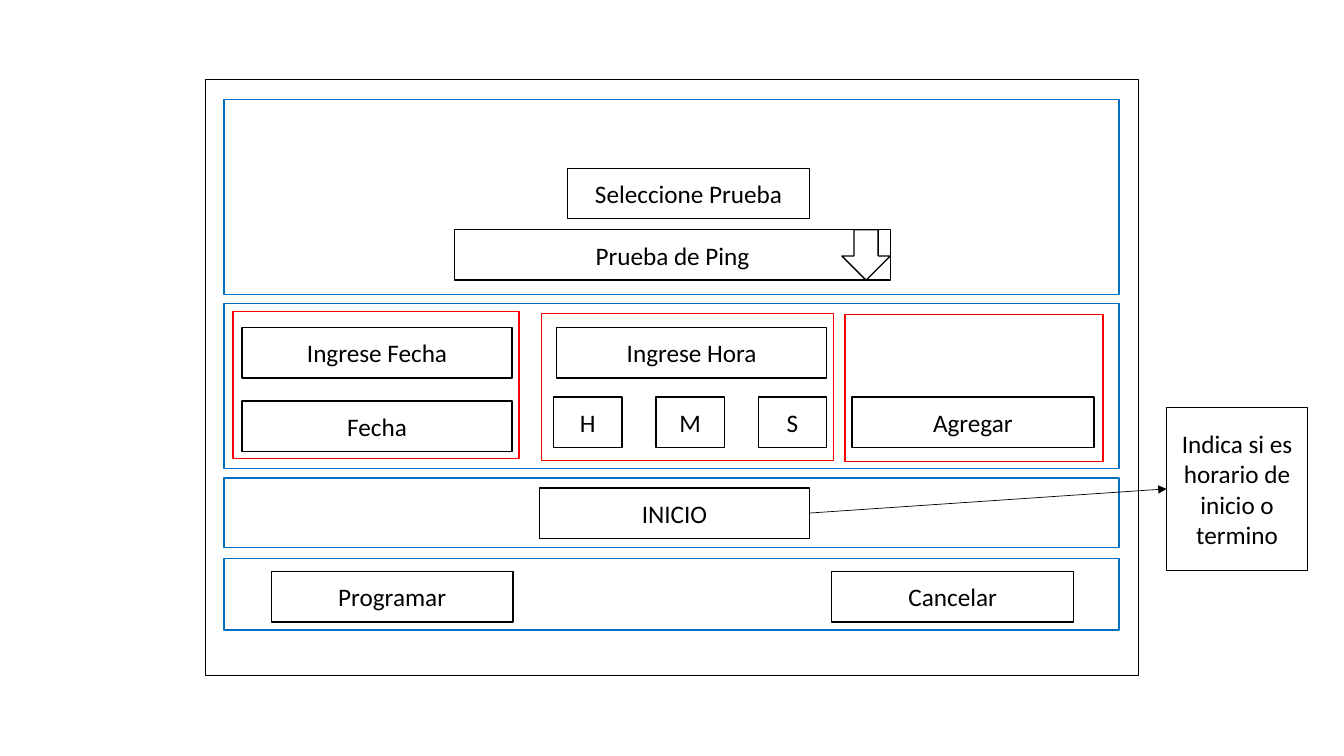
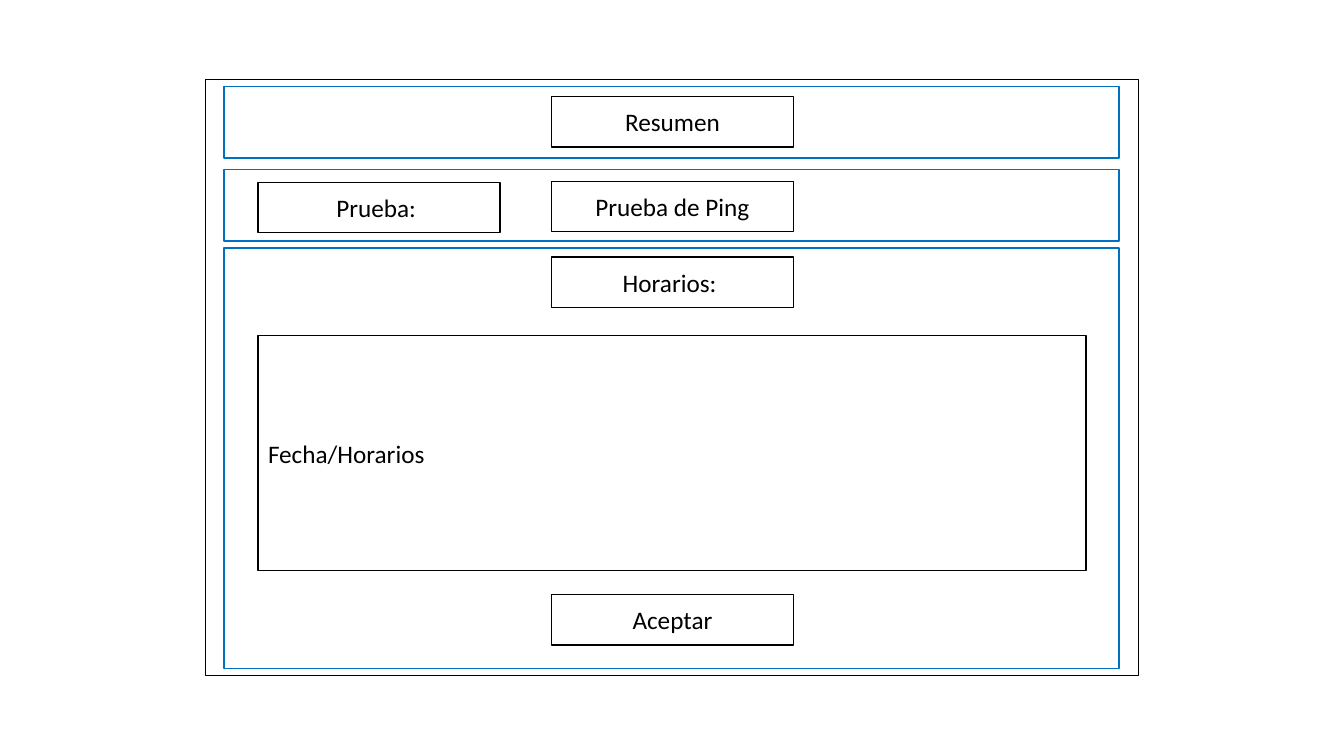
import pptx
import pptx.util
import pptx.dml.color
import pptx.enum.shapes
import pptx.enum.text
import pptx.oxml
import pptx.oxml.ns

Inches = pptx.util.Inches
Pt = pptx.util.Pt
SHAPE = pptx.enum.shapes.MSO_SHAPE
ALIGN = pptx.enum.text.PP_ALIGN

BLACK = pptx.dml.color.RGBColor(0x00, 0x00, 0x00)
BLUE = pptx.dml.color.RGBColor(0x00, 0x70, 0xC0)
RED = pptx.dml.color.RGBColor(0xFF, 0x00, 0x00)

FIELD_HEIGHT = 0.5
BUTTON_WIDTH = 2.4
ENTRY_WIDTH = 2.68
RIGHT_SITE, LEFT_SITE = 3, 1


class Wireframe:
    """Holds the style and the slide being drawn."""
    font = "Calibri"
    size = Pt(18)

    def __init__(self, deck):
        self.deck = deck
        self.slide = None

    def new_screen(self):
        """Start a slide with the window border."""
        self.slide = self.deck.slides.add_slide(self.deck.slide_layouts[6])
        self.outline(2.04, 0.79, 9.25, 5.91)

    def outline(self, left, top, width, height, color=BLACK, kind=SHAPE.RECTANGLE):
        shape = self.slide.shapes.add_shape(
            kind, Inches(left), Inches(top), Inches(width), Inches(height))
        shape.shadow.inherit = False
        shape.fill.background()
        shape.line.color.rgb = color
        shape.line.width = Pt(1)
        return shape

    def section(self, top, height):
        """Blue band across the window."""
        return self.outline(2.22, top, 8.88, height, BLUE)

    def field(self, text, left, top, width=BUTTON_WIDTH, height=FIELD_HEIGHT,
              align=ALIGN.CENTER):
        shape = self.outline(left, top, width, height)
        frame = shape.text_frame
        frame.text = text
        frame.word_wrap = True
        frame.vertical_anchor = pptx.enum.text.MSO_ANCHOR.MIDDLE
        paragraph = frame.paragraphs[0]
        paragraph.alignment = align
        font = paragraph.runs[0].font
        font.name = self.font
        font.size = self.size
        font.color.rgb = BLACK
        return shape

    def arrow(self, start, end):
        """Arrow from the right side of one field to the left side of another."""
        link = self.slide.shapes.add_connector(
            pptx.enum.shapes.MSO_CONNECTOR.STRAIGHT, 0, 0, 0, 0)
        link.begin_connect(start, RIGHT_SITE)
        link.end_connect(end, LEFT_SITE)
        link.line.color.rgb = BLACK
        link.line.width = Pt(0.5)
        qn = pptx.oxml.ns.qn
        head = link.line._get_or_add_ln().makeelement(qn("a:tailEnd"), {"type": "triangle"})
        link.line._get_or_add_ln().append(head)
        properties = link._element.spPr
        properties.append(properties.makeelement(qn("a:effectLst"), {}))


deck = pptx.Presentation()
deck.slide_width = Inches(13.33)
deck.slide_height = Inches(7.5)
screen = Wireframe(deck)

# Slide 1: schedule a test
screen.new_screen()
for top, height in ((0.99, 1.93), (3.01, 1.64), (4.74, 0.69), (5.54, 0.71)):
    screen.section(top, height)

# Test selector
screen.field("Seleccione Prueba", 5.63, 1.67)
screen.field("Prueba de Ping", 4.51, 2.28, 4.32)
screen.outline(8.35, 2.28, 0.48, FIELD_HEIGHT, kind=SHAPE.DOWN_ARROW)

# Date, time and add button
screen.field("Ingrese Fecha", 2.4, 3.25, ENTRY_WIDTH)
screen.field("Fecha", 2.4, 3.98, ENTRY_WIDTH)
screen.field("Ingrese Hora", 5.52, 3.25, ENTRY_WIDTH)
for column, unit in enumerate("HMS"):
    screen.field(unit, 5.49 + column * 1.015, 3.94, 0.68)
screen.field("Agregar", 8.45, 3.94)
for left, top, width in ((2.31, 3.09, 2.84), (5.37, 3.11, 2.9), (8.38, 3.12, 2.56)):
    screen.outline(left, top, width, 1.46, RED)

# Start or end marker with its note
start_marker = screen.field("INICIO", 5.35, 4.84, ENTRY_WIDTH)
marker_note = screen.field("Indica si es horario de inicio o termino", 11.57, 4.04, 1.4, 1.62)
screen.arrow(start_marker, marker_note)

# Buttons
screen.field("Programar", 2.69, 5.67)
screen.field("Cancelar", 8.25, 5.67)

# Slide 2: summary
screen.new_screen()
for top, height in ((0.86, 0.71), (1.68, 0.71), (2.46, 4.17)):
    screen.section(top, height)
for text, top in (("Resumen", 0.96), ("Prueba de Ping", 1.8),
                  ("Horarios: ", 2.55), ("Aceptar", 5.9)):
    screen.field(text, 5.47, top)
screen.field("Prueba: ", 2.56, 1.81)
screen.field("Fecha/Horarios", 2.56, 3.33, 8.21, 2.33, ALIGN.LEFT)

deck.save("out.pptx")
